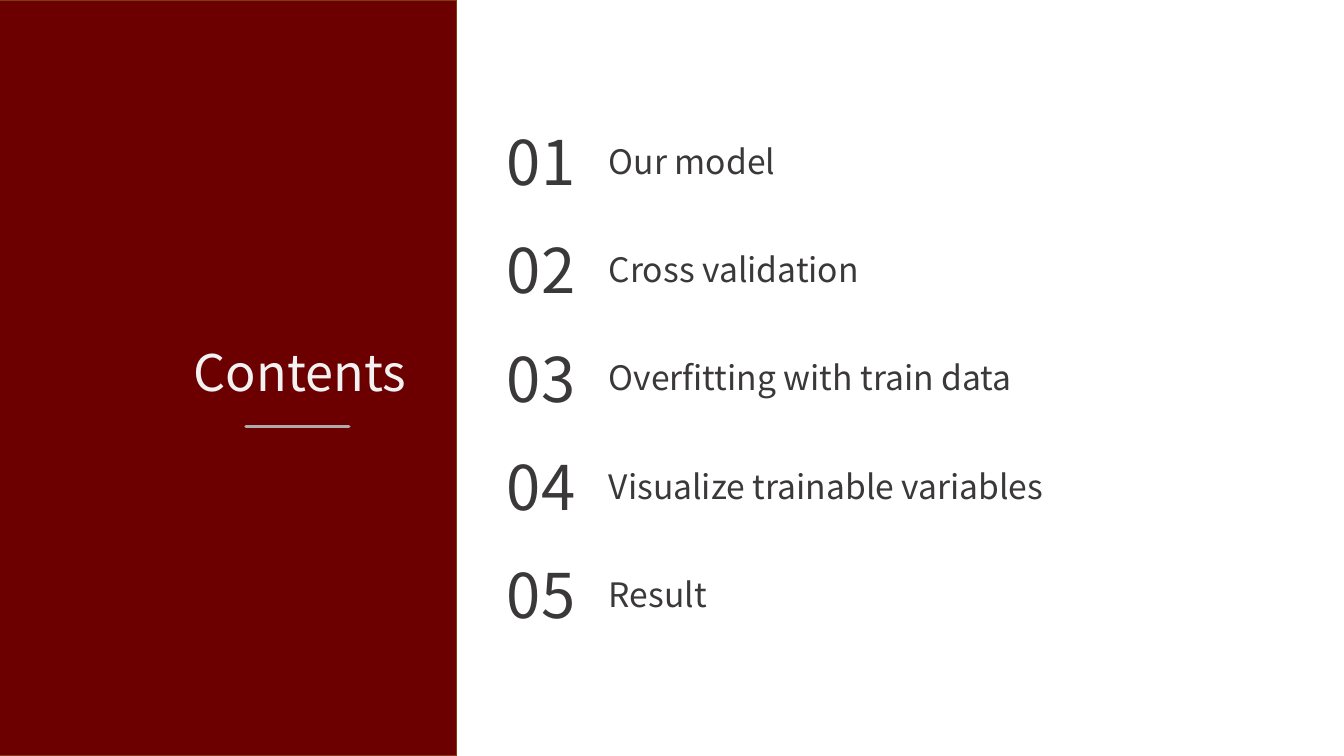
"""Build a contents slide with a dark side panel and five numbered topics."""
from dataclasses import dataclass

from lxml import etree
from pptx import Presentation
from pptx.dml.color import RGBColor
from pptx.enum.shapes import MSO_CONNECTOR, MSO_SHAPE
from pptx.enum.text import MSO_AUTO_SIZE, PP_ALIGN
from pptx.oxml.ns import qn
from pptx.shapes.shapetree import GroupShapes, SlideShapes
from pptx.util import Inches, Length, Pt

RECT = MSO_SHAPE.RECTANGLE
LINE = MSO_CONNECTOR.STRAIGHT
FIT = MSO_AUTO_SIZE.SHAPE_TO_FIT_TEXT
LEFT, CENTER = PP_ALIGN.LEFT, PP_ALIGN.CENTER
WIDE, HIGH = Inches(13.33), Inches(7.5)
FIRST, PITCH, DROP = 1.18, 1.075, 0.165


@dataclass(frozen=True)
class Theme:
    """Colours, type sizes and line widths of the slide."""
    font: str = "Noto Sans CJK KR"
    panel: str = "6C0000"
    edge: str = "833C0B"
    rule: str = "AEABAB"
    light: str = "F2F2F2"
    dark: str = "3A3838"
    title: int = 36
    number: int = 44
    topic: int = 24
    thin: float = 1
    thick: float = 2.5


@dataclass(frozen=True)
class Label:
    """A line of text with its box in inches."""
    text: str
    left: float
    top: float
    width: float
    height: float
    size: int
    color: str
    align: PP_ALIGN = LEFT


@dataclass(frozen=True)
class Topic:
    """A contents entry with the widths of its two boxes."""
    text: str
    slot: float = 2
    width: float = 5.14


THEME = Theme()
TOPICS = (
    Topic("Our model"),
    Topic("Cross validation"),
    Topic("Overfitting with train data"),
    Topic("Visualize trainable variables", 1, 5.58),
    Topic("Result", 1, 5.58),
)


def across(inches: float) -> Length:
    """Place a length as a share of the slide's width."""
    return Length(round(WIDE * inches / 13.33))


def down(inches: float) -> Length:
    """Place a length as a share of the slide's height."""
    return Length(round(HIGH * inches / 7.5))


def write(shapes: SlideShapes | GroupShapes, label: Label) -> None:
    """Draw one label as a text box."""
    box = shapes.add_textbox(across(label.left), down(label.top),
                             across(label.width), down(label.height))
    frame = box.text_frame
    frame.word_wrap = True
    frame.auto_size = FIT
    para = frame.paragraphs[0]
    para.alignment = label.align
    run = para.add_run()
    run.text = label.text
    form = {"name": THEME.font, "size": Pt(label.size)}
    for key, value in form.items():
        setattr(run.font, key, value)
    run.font.color.rgb = RGBColor.from_string(label.color)


def panel(shapes: SlideShapes) -> None:
    """Draw the side panel, its title and the rule below."""
    side = shapes.add_shape(RECT, across(-0.01), 0, across(4.54), HIGH)
    side.shadow.inherit = False
    side.fill.solid()
    side.fill.fore_color.rgb = RGBColor.from_string(THEME.panel)
    side.line.color.rgb = RGBColor.from_string(THEME.edge)
    side.line.width = Pt(THEME.thin)
    write(shapes, Label("Contents", 1.52, 3.33, 2.91, 0.71,
                        THEME.title, THEME.light, CENTER))
    rule = shapes.add_connector(LINE, across(2.44), down(4.23),
                                across(3.46), down(4.23))
    rule.line.color.rgb = RGBColor.from_string(THEME.rule)
    rule.line.width = Pt(THEME.thick)
    props = rule.element.spPr
    props.find(qn("a:ln")).set("cap", "rnd")
    etree.SubElement(props, qn("a:effectLst"))


def entry(shapes: SlideShapes, index: int, topic: Topic) -> None:
    """Draw one numbered topic as a group."""
    group = shapes.add_group_shape().shapes
    top = FIRST + index * PITCH
    write(group, Label(f"{index + 1:02}", 4.93, top, topic.slot, 0.84,
                       THEME.number, THEME.dark))
    write(group, Label(topic.text, 5.94, top + DROP, topic.width, 0.5,
                       THEME.topic, THEME.dark))


def main() -> None:
    """Build the slide and save it."""
    deck = Presentation()
    size = {"slide_width": WIDE, "slide_height": HIGH}
    for key, value in size.items():
        setattr(deck, key, value)
    shapes = deck.slides.add_slide(deck.slide_layouts[6]).shapes
    panel(shapes)
    for index, topic in enumerate(TOPICS):
        entry(shapes, index, topic)
    deck.save("out.pptx")


if __name__ == "__main__":
    main()
